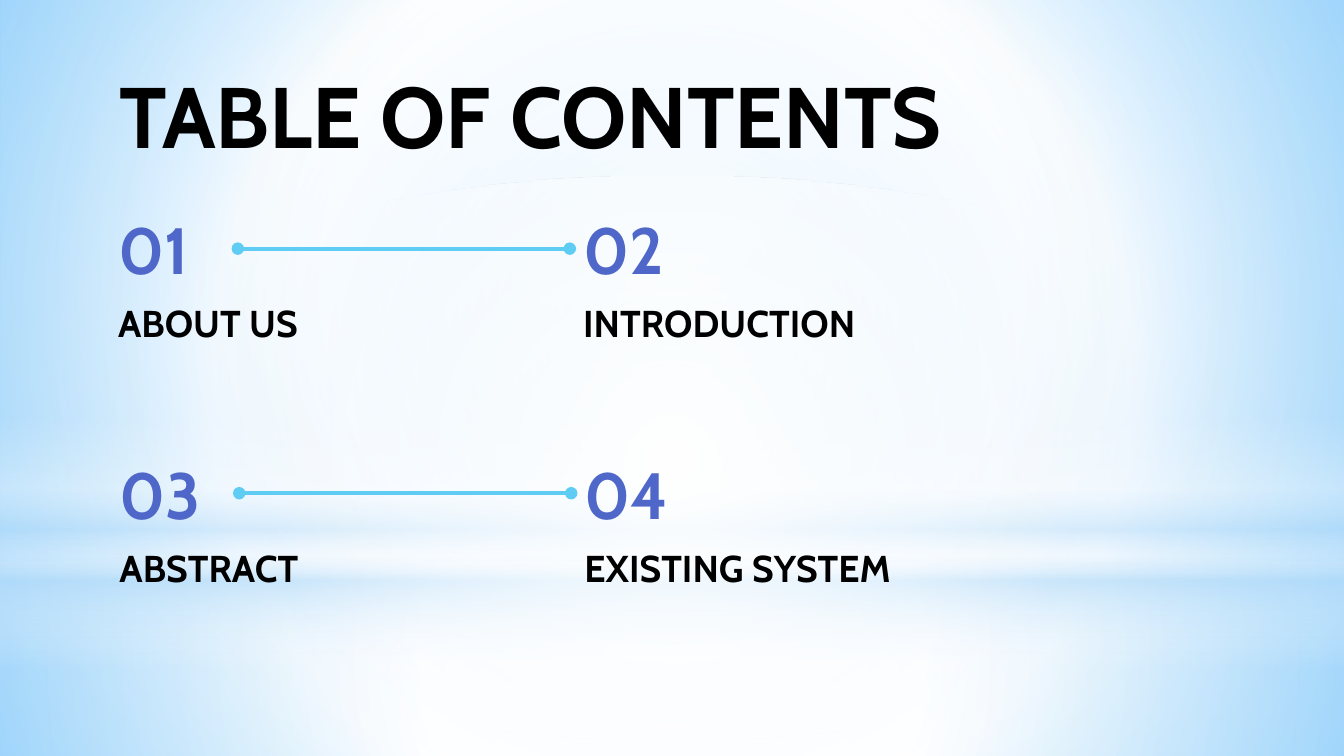
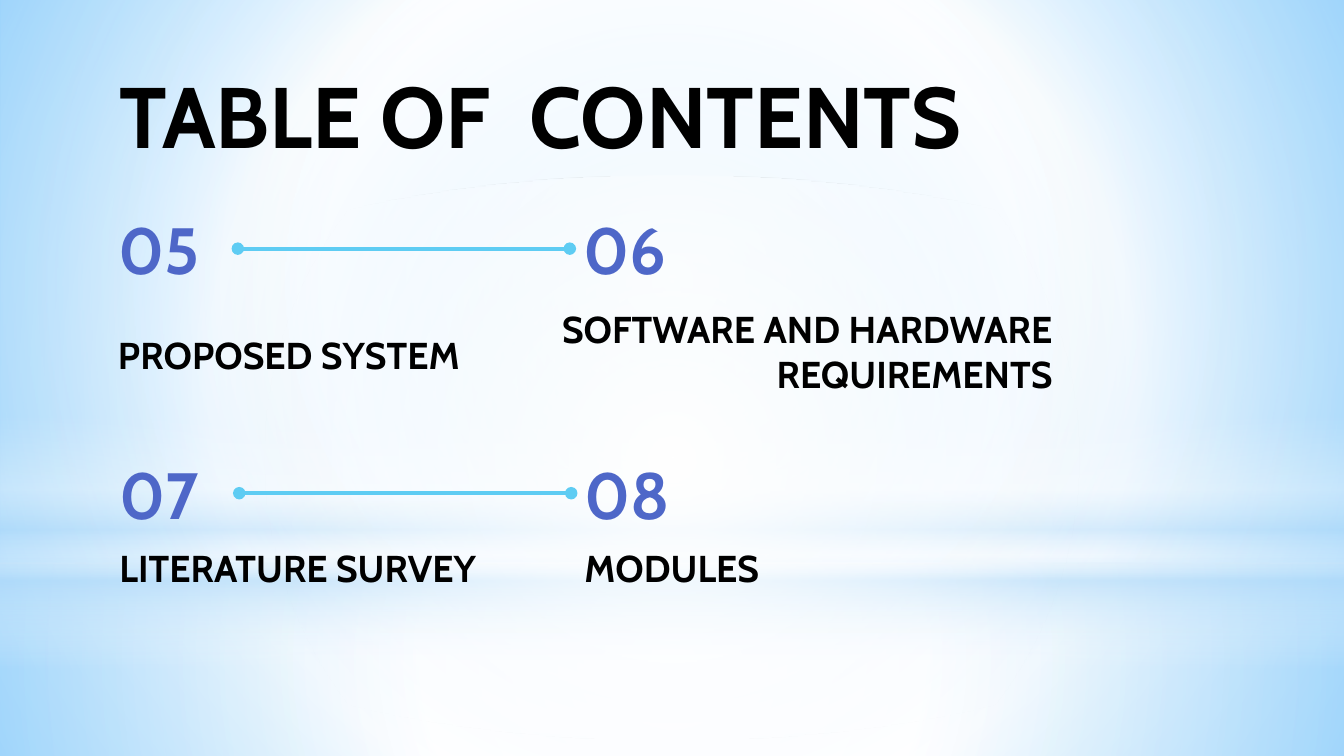
from lxml import etree
from pptx import Presentation, util as u
from pptx.dml.color import RGBColor
from pptx.enum import shapes, text
from pptx.oxml import ns

WIDE = 10
HIGH = WIDE * 9 / 16
LEFT, TOP = 0.78, 1.56
COL, ROW, NUDGE = 3.46, 1.82, 0.01
NUM_W, NUM_H = 0.99, 0.58
FONT, INK, BLUE, CYAN = "Cabin", "000000", "4E67C8", "5ECCF3"
WHITE, PALE = "FFFFFF", "B4DCFA"

SKY = [(0, "99D4FE", 100), (60, WHITE, 100), (100, "54BDFF", 100)]
RECT, OVAL = shapes.MSO_SHAPE.RECTANGLE, shapes.MSO_SHAPE.OVAL
GLOWS = [
    (RECT, 4.19, 1.44, [(0, WHITE, 91), (37, WHITE, 76), (100, PALE, 79)], None),
    (RECT, 0, 4.19, [(0, WHITE, 89), (48, WHITE, 62), (100, PALE, 79)], None),
    (RECT, 3.09, 1.88, [(0, WHITE, 0), (29, WHITE, 30), (45, PALE, 40),
                        (55, WHITE, 26), (65, PALE, 60), (100, WHITE, 0)], 90),
    (OVAL, 1.31, 4.19, [(0, WHITE, 100), (56, WHITE, 0), (100, WHITE, 0)], None),
]
SHORT, MID, LONG = (2.41, 0.52), (3.19, 0.52), (3.41, 0.52)
PAGES = [
    ("TABLE OF CONTENTS", 8.81, [
        ("ABOUT US", SHORT, {}), ("INTRODUCTION", SHORT, {}),
        ("ABSTRACT", MID, {}), ("EXISTING SYSTEM", LONG, {})]),
    ("TABLE OF  CONTENTS", 8.73, [
        ("PROPOSED SYSTEM", (3.46, 0.99), {}),
        ("SOFTWARE AND HARDWARE REQUIREMENTS", (4.65, 1.06),
         {"dx": -0.96, "dy": -0.06, "hang": 0.35}),
        ("LITERATURE SURVEY", MID, {}), ("MODULES", LONG, {})]),
]


def tint(code):
    """Turn a hex string into a colour."""
    return RGBColor.from_string(code)


def node(host, tag, **attrs):
    """Append a drawing element to its host."""
    return etree.SubElement(host, ns.qn("a:" + tag), attrs)


def blend(fill, stops, angle=None):
    """Fill with a round gradient, or a linear one when an angle is given."""
    fill.solid()
    host = fill._xPr
    old = host.find(ns.qn("a:solidFill"))
    grad = node(host, "gradFill", rotWithShape="1")
    host.replace(old, grad)
    group = node(grad, "gsLst")
    for pos, code, alpha in stops:
        stop = node(group, "gs", pos=str(pos * 1000))
        color = node(stop, "srgbClr", val=code)
        if alpha < 100:
            node(color, "alpha", val=str(alpha * 1000))
    if angle is None:
        ring = node(grad, "path", path="circle")
        node(ring, "fillToRect", **dict.fromkeys("ltrb", "50000"))
    else:
        node(grad, "lin", ang=str(angle * 60000), scaled="0")


def glow(slide, kind, top, high, stops, angle):
    """Lay one soft light across the full slide width."""
    shape = slide.shapes.add_shape(
        kind, 0, u.Inches(top), u.Inches(WIDE), u.Inches(high))
    shape.shadow.inherit = False
    shape.line.fill.background()
    blend(shape.fill, stops, angle)


def write(slide, words, box, size, color=INK, hang=0):
    """Write bold text in a box; a hanging indent sets it to the right."""
    shape = slide.shapes.add_textbox(*map(u.Inches, box))
    frame = shape.text_frame
    style = {"word_wrap": True, "vertical_anchor": text.MSO_ANCHOR.MIDDLE}
    style.update({"margin_" + side: u.Inches(0.1)
                  for side in ("left", "right", "top", "bottom")})
    for key, value in style.items():
        setattr(frame, key, value)
    para = frame.paragraphs[0]
    run = para.add_run()
    run.text = words
    for key, value in {"name": FONT, "size": u.Pt(size), "bold": True}.items():
        setattr(run.font, key, value)
    run.font.color.rgb = tint(color)
    if hang:
        para.alignment = text.PP_ALIGN.RIGHT
        props = para._p.get_or_add_pPr()
        props.set("marL", str(u.Inches(hang)))
        props.set("indent", str(-u.Inches(hang)))
    return shape


def join(slide, start, end):
    """Link two boxes by a line with round ends."""
    link = slide.shapes.add_connector(shapes.MSO_CONNECTOR.STRAIGHT, 0, 0, 0, 0)
    link.begin_connect(start, 3)
    link.end_connect(end, 1)
    link.line.color.rgb = tint(CYAN)
    link.line.width = u.Pt(2.25)
    line = link.line._get_or_add_ln()
    for tag in ("headEnd", "tailEnd"):
        node(line, tag, type="oval")
    node(link._element.spPr, "effectLst")


def entry(slide, index, number, words, size, dx=0, dy=0, hang=0):
    """Place a number and its label in the grid, and return the number box."""
    row, col = divmod(index, 2)
    left, top = LEFT + col * COL + row * NUDGE, TOP + row * ROW
    write(slide, words, (left + dx, top + NUM_H + dy, *size), 20, hang=hang)
    return write(slide, f"{number:02}", (left, top, NUM_W, NUM_H), 35, BLUE)


def page(deck, first, title, wide, items):
    """Build one contents slide."""
    slide = deck.slides.add_slide(deck.slide_layouts[6])
    for light in GLOWS:
        glow(slide, *light)
    write(slide, title, (LEFT + NUDGE, 0.59, wide, 0.52), 46)
    boxes = [entry(slide, i, first + i, words, size, **shift)
             for i, (words, size, shift) in enumerate(items)]
    for start, end in zip(boxes[::2], boxes[1::2]):
        join(slide, start, end)


def main():
    """Build and save the deck."""
    deck = Presentation()
    deck.slide_width, deck.slide_height = u.Inches(WIDE), u.Inches(HIGH)
    blend(deck.slide_master.background.fill, SKY)
    first = 1
    for title, wide, items in PAGES:
        page(deck, first, title, wide, items)
        first += len(items)
    deck.save("out.pptx")


if __name__ == "__main__":
    main()
